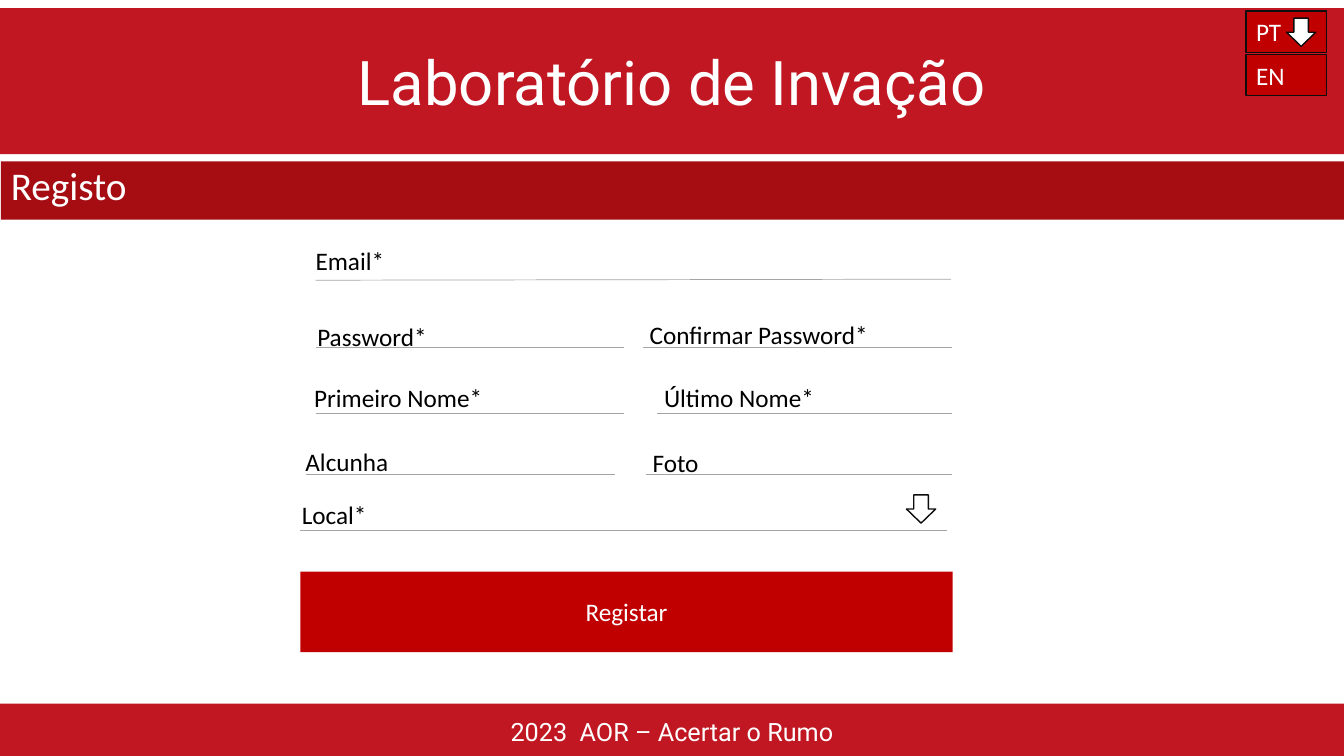
from pptx import Presentation
from pptx.util import Inches, Pt
from pptx.dml.color import RGBColor
from pptx.enum.shapes import MSO_SHAPE as SHAPE, MSO_CONNECTOR as LINK
from pptx.enum.text import MSO_ANCHOR as ANCHOR, PP_ALIGN as ALIGN, MSO_AUTO_SIZE as FIT
from pptx.oxml.ns import qn
from lxml import etree

COLORS = {
    "banner": "C01722", "strip": "A50D13", "button": "C00000",
    "rule": "A5A5A5", "edge": "0D0D0D", "white": "FFFFFF", "black": "000000",
}
RGB = {name: RGBColor.from_string(code) for name, code in COLORS.items()}

deck = Presentation()
deck.slide_width, deck.slide_height = Inches(13.33), Inches(7.5)
slide = deck.slides.add_slide(deck.slide_layouts[5])
shapes = slide.shapes


def write(shape, text, color="white", size=18, face="Calibri",
          align=ALIGN.CENTER, anchor=ANCHOR.MIDDLE):
    frame = shape.text_frame
    frame.text = text
    for key, value in {"word_wrap": True, "auto_size": FIT.NONE,
                       "vertical_anchor": anchor}.items():
        setattr(frame, key, value)
    para = frame.paragraphs[0]
    para.alignment = align
    for key, value in {"name": face, "size": Pt(size), "bold": False}.items():
        setattr(para.runs[0].font, key, value)
    para.runs[0].font.color.rgb = RGB[color]
    return para


def block(kind, box, fill, edge=None):
    shape = shapes.add_shape(kind, *map(Inches, box))
    shape.shadow.inherit = False
    shape.fill.solid()
    shape.fill.fore_color.rgb = RGB[fill]
    if edge:
        shape.line.color.rgb = RGB[edge]
        shape.line.width = Pt(1)
    else:
        shape.line.fill.background()
    return shape


# Title banner
title = shapes.title
for key, value in {"left": 0, "top": 0.08, "width": 13.33, "height": 1.45}.items():
    setattr(title, key, Inches(value))
title.fill.solid()
title.fill.fore_color.rgb = RGB["banner"]
write(title, "Laboratório de Invação", size=44, face="Roboto")

# Section strip
strip = block(SHAPE.RECTANGLE, (0.01, 1.6, 13.33, 0.58), "strip")
head = write(strip, "Registo", size=28, align=ALIGN.LEFT, anchor=ANCHOR.TOP)
head.line_spacing = 0.9

# Field labels
labels = [
    ("Email*", 2.83, 2.4, 1.28, 0.37),
    ("Password*", 2.02, 3.17, 3.34, 0.33),
    ("Confirmar Password*", 5.92, 3.15, 3.21, 0.33),
    ("Primeiro Nome*", 2.28, 3.8, 3.34, 0.28),
    ("Último Nome*", 5.73, 3.8, 3.2, 0.28),
    ("Alcunha", 1.84, 4.44, 3.2, 0.28),
    ("Foto", 5.1, 4.45, 3.2, 0.28),
    ("Local*", 2.66, 4.89, 1.31, 0.43),
]
for text, *box in labels:
    write(shapes.add_textbox(*map(Inches, box)), text, "black")

# Field rules: left, right, start height, end height
rules = [
    (3.13, 9.43, 2.78, 2.77),
    (3.13, 6.19, 3.45, 3.45), (6.38, 9.44, 3.45, 3.45),
    (3.13, 6.19, 4.1, 4.1), (6.52, 9.44, 4.1, 4.1),
    (3.04, 6.1, 4.71, 4.71), (6.41, 9.44, 4.71, 4.71),
    (2.98, 9.39, 5.26, 5.26),
]
for left, right, start, end in rules:
    ends = map(Inches, (left, start, right, end))
    rule = shapes.add_connector(LINK.STRAIGHT, *ends)
    rule.line.color.rgb = RGB["rule"]
    rule.line.width = Pt(0.5)
    etree.SubElement(rule._element.spPr, qn("a:effectLst"))

# Submit button and footer
button = block(SHAPE.RECTANGLE, (2.98, 5.67, 6.47, 0.8), "button")
write(button, "Registar")
footer = block(SHAPE.RECTANGLE, (0, 6.98, 13.33, 0.56), "banner")
write(footer, "2023  AOR – Acertar o Rumo", face="Roboto")

# Language menu
for row, code in enumerate(("PT", "EN")):
    item = block(SHAPE.RECTANGLE, (12.36, 0.11 + row * 0.43, 0.8, 0.41), "button", "edge")
    write(item, code, align=ALIGN.LEFT)

# Drop-down arrows
for left, top in ((8.99, 4.91), (12.76, 0.18)):
    block(SHAPE.DOWN_ARROW, (left, top, 0.29, 0.28), "white", "edge")

deck.save("out.pptx")
